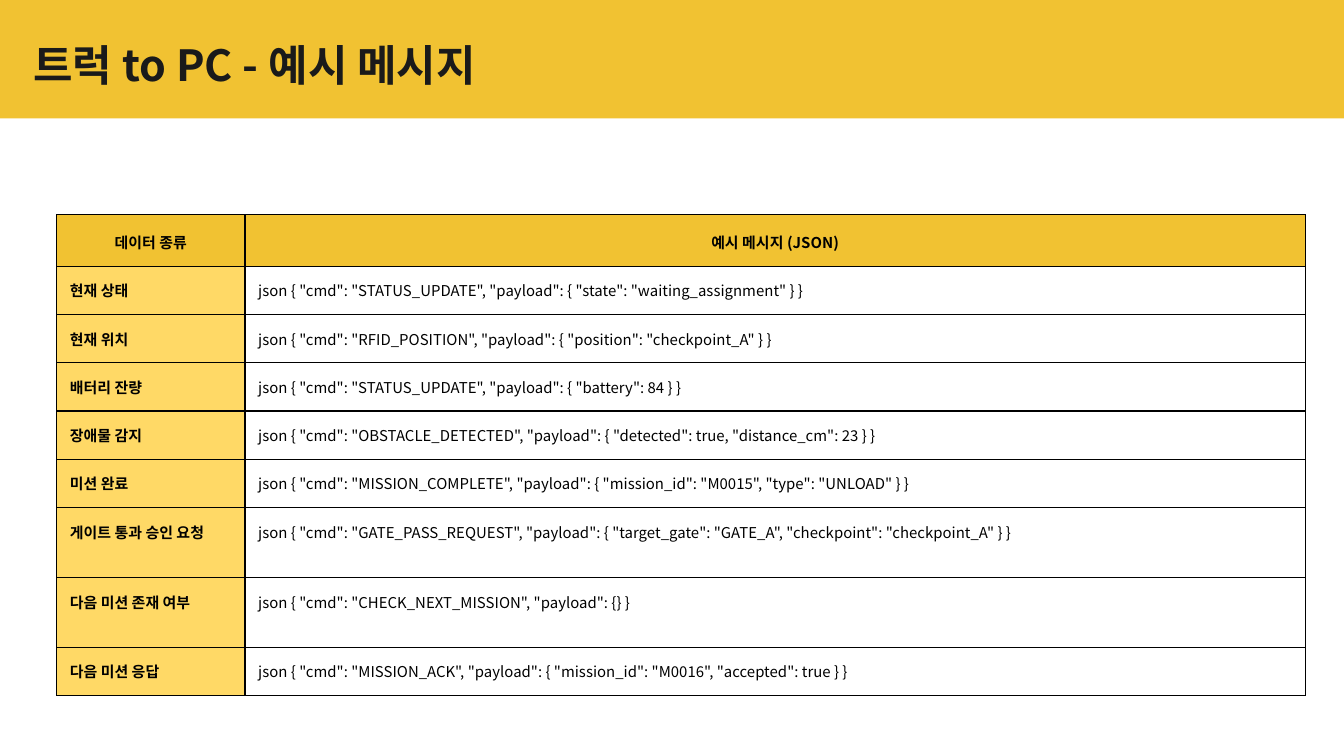
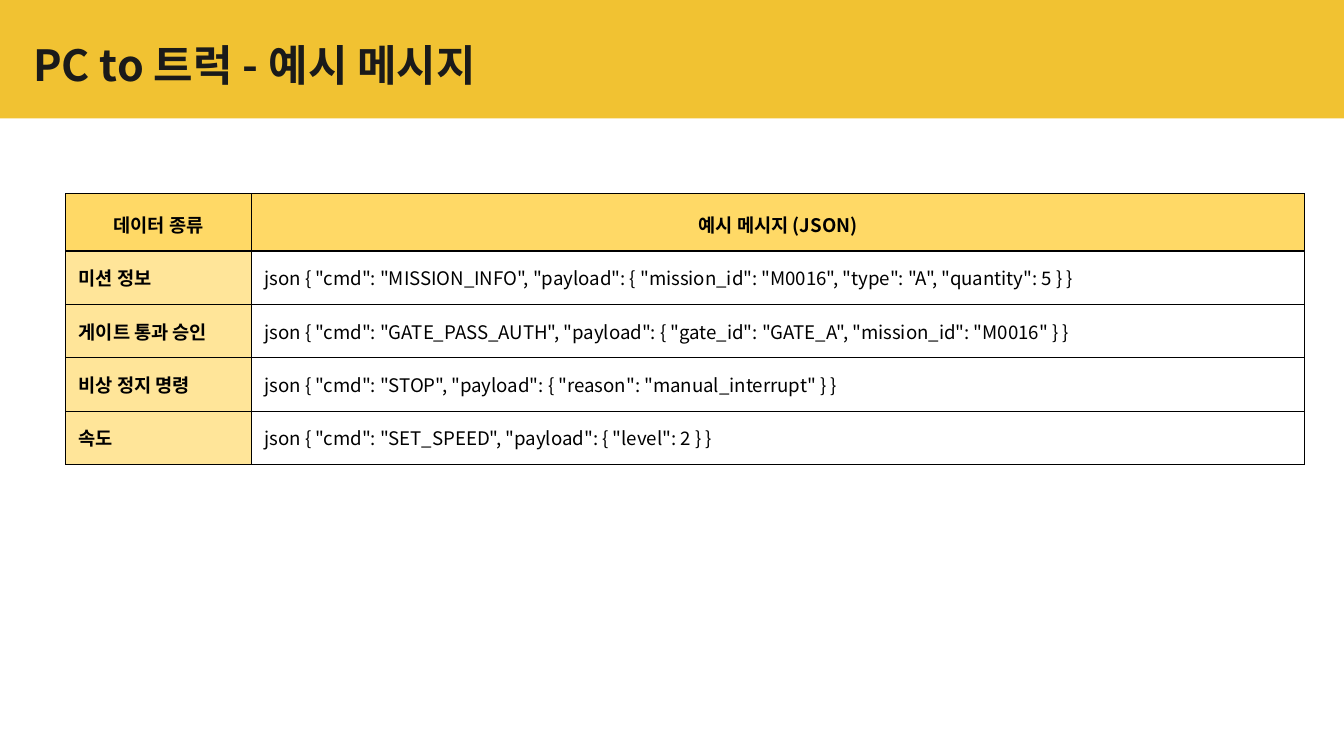
from dataclasses import dataclass

import lxml.etree
import pptx
import pptx.dml.color
import pptx.enum.shapes
import pptx.enum.text
import pptx.oxml.ns
import pptx.util

Cm = pptx.util.Cm
Align = pptx.enum.text.PP_ALIGN
Anchor = pptx.enum.text.MSO_ANCHOR
qn = pptx.oxml.ns.qn


@dataclass(frozen=True)
class Theme:
    font: str = "Noto Sans CJK KR"
    gold: str = "F1C232"
    amber: str = "FFD966"
    cream: str = "FFE599"
    ink: str = "1A1A1A"
    black: str = "000000"
    title_size: float = 23
    dense_size: float = 8
    roomy_size: float = 10
    border: float = 0.75


THEME = Theme()
PAGE_WIDTH, PAGE_HEIGHT = Cm(25.4), Cm(14.29)
BAND_HEIGHT = Cm(2.24)
INSET = Cm(0.25)
ROW_HEIGHT, TALL_ROW_HEIGHT = Cm(0.69), Cm(1.32)
HEADINGS = ("데이터 종류", "예시 메시지 (JSON)")


@dataclass(frozen=True)
class Message:
    kind: str
    example: str
    height: int = ROW_HEIGHT


@dataclass(frozen=True)
class MessagePage:
    title: str
    left: int
    top: int
    widths: tuple[int, int]
    size: float
    header_fill: str
    kind_fill: str
    messages: tuple[Message, ...]


PAGES = (
    MessagePage(
        "트럭 to PC - 예시 메시지", Cm(1.07), Cm(4.06), (Cm(3.56), Cm(20.04)),
        THEME.dense_size, THEME.gold, THEME.amber,
        (
            Message("현재 상태", 'json { "cmd": "STATUS_UPDATE", "payload": { "state": "waiting_assignment" } }'),
            Message("현재 위치", 'json { "cmd": "RFID_POSITION", "payload": { "position": "checkpoint_A" } }'),
            Message("배터리 잔량", 'json { "cmd": "STATUS_UPDATE", "payload": { "battery": 84 } }'),
            Message("장애물 감지", 'json { "cmd": "OBSTACLE_DETECTED", "payload": { "detected": true, "distance_cm": 23 } }'),
            Message("미션 완료", 'json { "cmd": "MISSION_COMPLETE", "payload": { "mission_id": "M0015", "type": "UNLOAD" } }'),
            Message(
                "게이트 통과 승인 요청",
                'json { "cmd": "GATE_PASS_REQUEST", "payload": { "target_gate": "GATE_A", "checkpoint": "checkpoint_A" } }',
                TALL_ROW_HEIGHT,
            ),
            Message("다음 미션 존재 여부", 'json { "cmd": "CHECK_NEXT_MISSION", "payload": {} }', TALL_ROW_HEIGHT),
            Message("다음 미션 응답", 'json { "cmd": "MISSION_ACK", "payload": { "mission_id": "M0016", "accepted": true } }'),
        ),
    ),
    MessagePage(
        "PC to 트럭 - 예시 메시지", Cm(1.24), Cm(3.66), (Cm(3.51), Cm(19.91)),
        THEME.roomy_size, THEME.amber, THEME.cream,
        (
            Message("미션 정보", 'json { "cmd": "MISSION_INFO", "payload": { "mission_id": "M0016", "type": "A", "quantity": 5 } }'),
            Message("게이트 통과 승인", 'json { "cmd": "GATE_PASS_AUTH", "payload": { "gate_id": "GATE_A", "mission_id": "M0016" } }'),
            Message("비상 정지 명령", 'json { "cmd": "STOP", "payload": { "reason": "manual_interrupt" } }'),
            Message("속도", 'json { "cmd": "SET_SPEED", "payload": { "level": 2 } }'),
        ),
    ),
)


def rgb(color: str) -> pptx.dml.color.RGBColor:
    return pptx.dml.color.RGBColor.from_string(color)


def write_text(frame, text: str, *, size: float, color: str = THEME.black,
               bold: bool = False, align=Align.LEFT, line_spacing: float = 1.0) -> None:
    para = frame.paragraphs[0]
    para.alignment = align
    para.line_spacing = line_spacing
    span = para.add_run()
    span.text = text
    span.font.size = pptx.util.Pt(size)
    span.font.bold = bold
    span.font.color.rgb = rgb(color)
    span.font.name = THEME.font
    properties = span.font._element
    lxml.etree.SubElement(properties, qn("a:ea"), typeface=THEME.font)


def set_insets(box) -> None:
    box.margin_left = box.margin_right = box.margin_top = box.margin_bottom = INSET


def add_borders(cell) -> None:
    properties = cell._tc.get_or_add_tcPr()
    for side in ("a:lnL", "a:lnR", "a:lnT", "a:lnB"):
        line = lxml.etree.SubElement(properties, qn(side), w=str(pptx.util.Pt(THEME.border)))
        fill = lxml.etree.SubElement(line, qn("a:solidFill"))
        lxml.etree.SubElement(fill, qn("a:srgbClr"), val=THEME.black)


def fill_cell(cell, text: str, fill: str | None, **text_format) -> None:
    set_insets(cell)
    cell.vertical_anchor = Anchor.TOP
    add_borders(cell)
    if fill:
        cell.fill.solid()
        cell.fill.fore_color.rgb = rgb(fill)
    else:
        cell.fill.background()
    write_text(cell.text_frame, text, **text_format)


def add_band(page, layout) -> None:
    band = page.shapes.add_shape(
        pptx.enum.shapes.MSO_SHAPE.RECTANGLE, 0, 0, PAGE_WIDTH, BAND_HEIGHT)
    band.shadow.inherit = False
    band.fill.solid()
    band.fill.fore_color.rgb = rgb(THEME.gold)
    band.line.fill.background()
    layout.shapes.element.insert(2, band.element)


def place_title(page, text: str) -> None:
    title = page.shapes.title
    title.left, title.top = Cm(0.38), Cm(0.46)
    title.width, title.height = Cm(21.36), Cm(1.5)
    frame = title.text_frame
    set_insets(frame)
    frame.word_wrap = True
    frame.auto_size = pptx.enum.text.MSO_AUTO_SIZE.NONE
    frame.vertical_anchor = Anchor.MIDDLE
    write_text(frame, text, size=THEME.title_size, color=THEME.ink, bold=True)


def add_message_table(page, content: MessagePage) -> None:
    heights = [ROW_HEIGHT] + [message.height for message in content.messages]
    table = page.shapes.add_table(
        len(heights), len(HEADINGS), content.left, content.top,
        sum(content.widths), sum(heights)).table
    table.first_row = table.horz_banding = False
    for column, width in zip(table.columns, content.widths):
        column.width = width
    for row, height in zip(table.rows, heights):
        row.height = height
    for column, heading in enumerate(HEADINGS):
        fill_cell(table.cell(0, column), heading, content.header_fill,
                  size=content.size, bold=True, align=Align.CENTER, line_spacing=1.15)
    for row, message in enumerate(content.messages, start=1):
        fill_cell(table.cell(row, 0), message.kind, content.kind_fill,
                  size=content.size, bold=True)
        fill_cell(table.cell(row, 1), message.example, None, size=content.size)


def main() -> None:
    deck = pptx.Presentation()
    deck.slide_width, deck.slide_height = PAGE_WIDTH, PAGE_HEIGHT
    layout = deck.slide_layouts.get_by_name("Title Only")
    for number, content in enumerate(PAGES):
        page = deck.slides.add_slide(layout)
        if number == 0:
            add_band(page, layout)
        place_title(page, content.title)
        add_message_table(page, content)
    deck.save("out.pptx")


if __name__ == "__main__":
    main()
